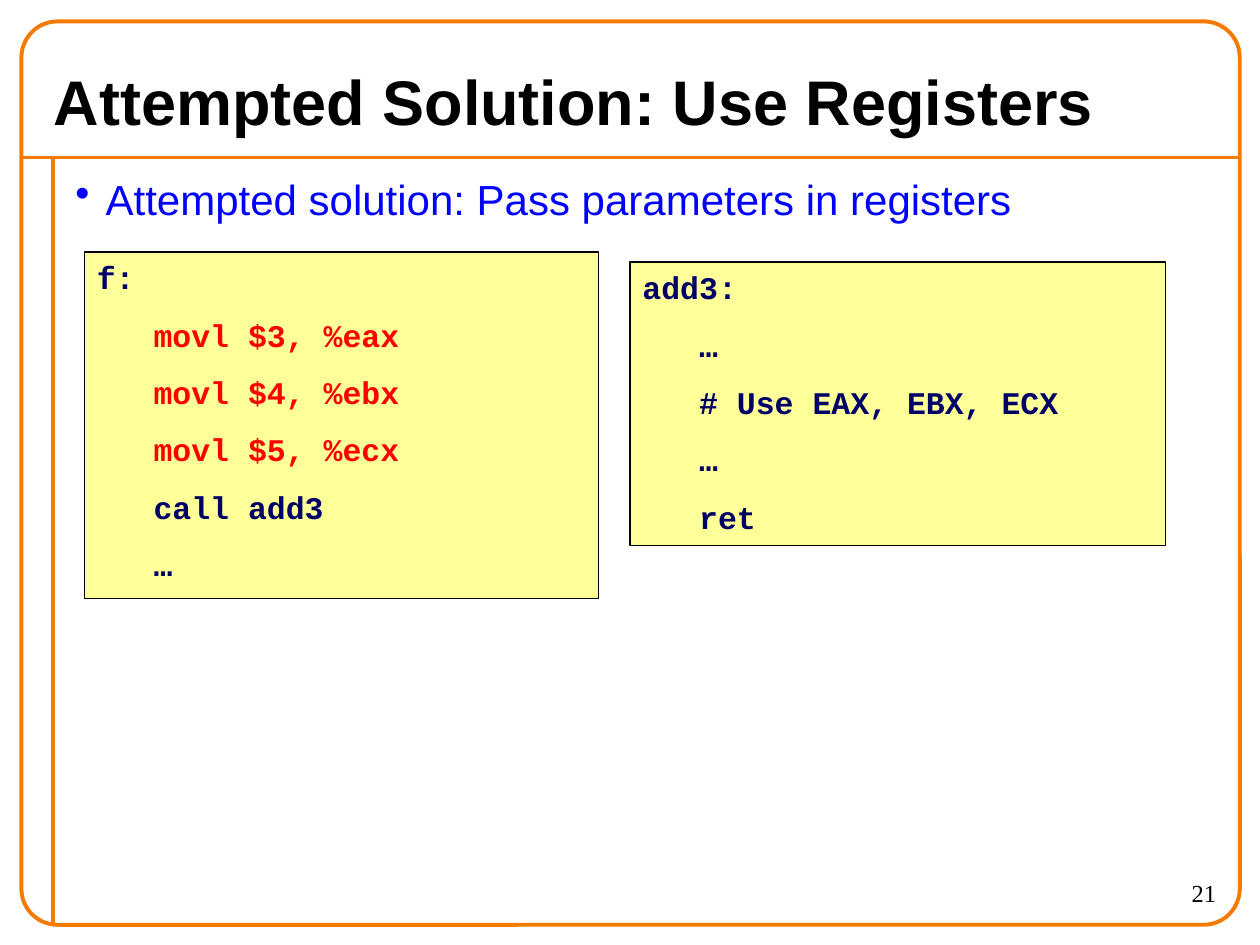
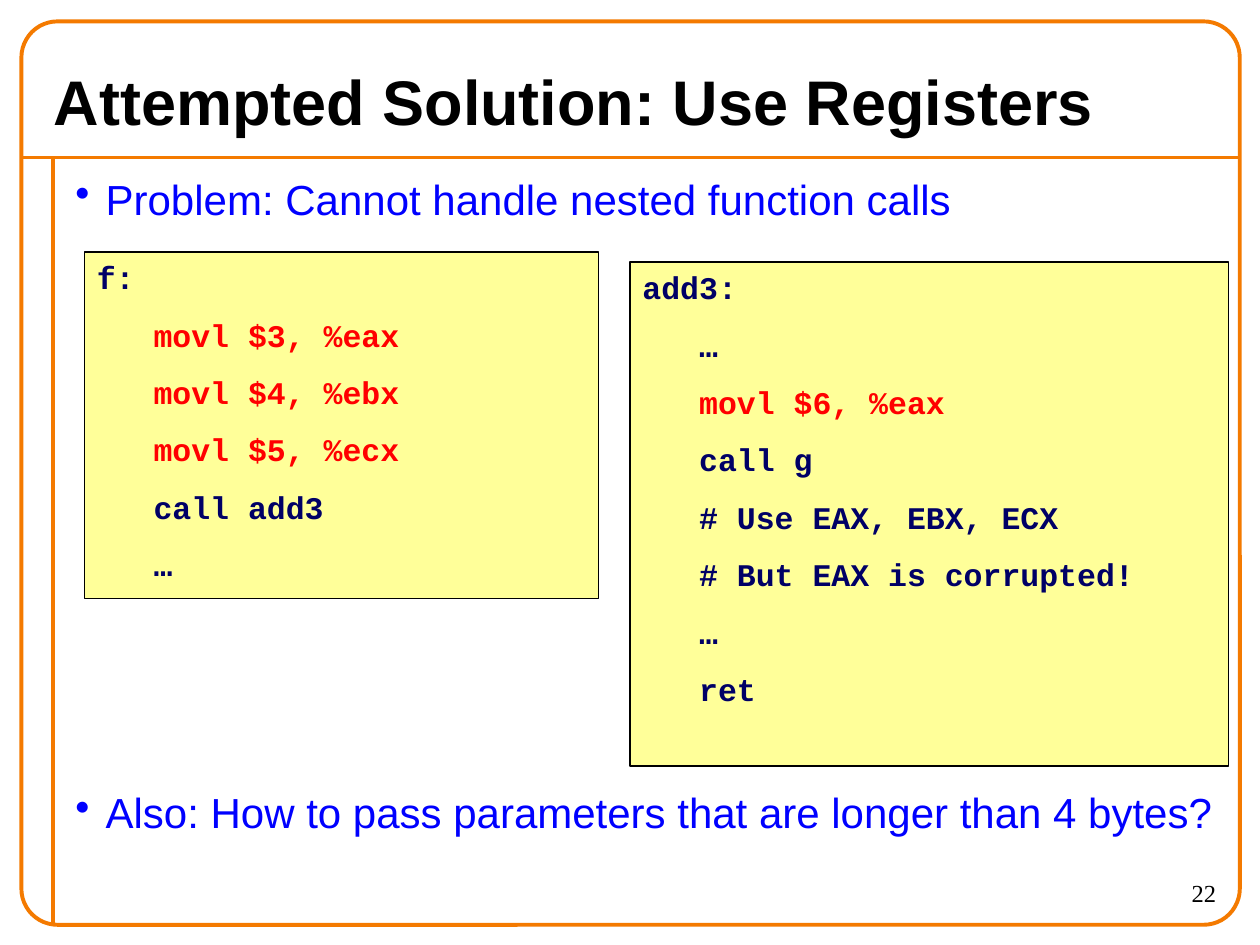
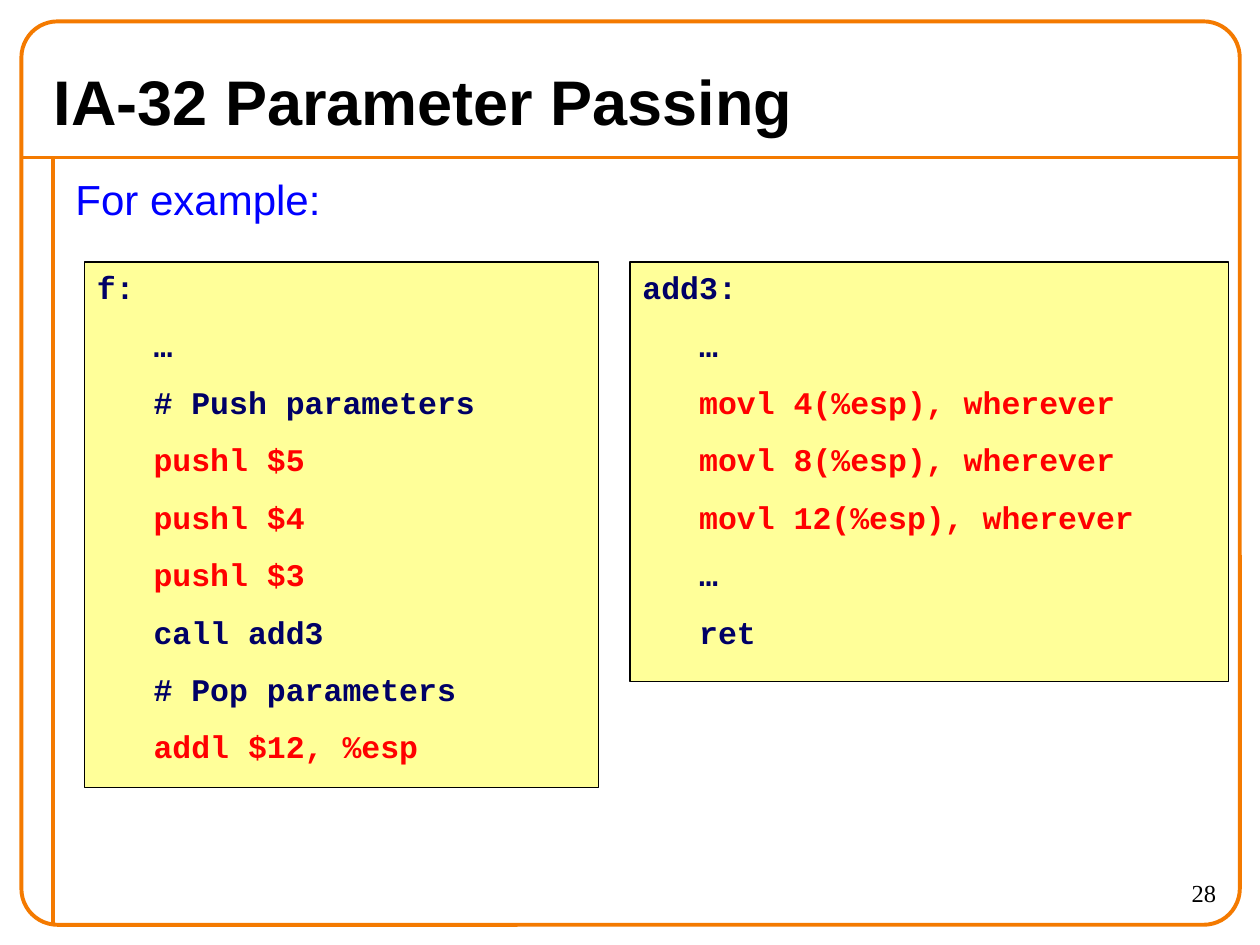
"""Build three slides on passing parameters in IA-32 assembly."""
import lxml.etree
import pptx
import pptx.dml.color
import pptx.enum.shapes
import pptx.enum.text
import pptx.oxml.ns
import pptx.util

Inches = pptx.util.Inches
Pt = pptx.util.Pt
SHAPE = pptx.enum.shapes.MSO_SHAPE
ALIGN = pptx.enum.text.PP_ALIGN
ANCHOR = pptx.enum.text.MSO_ANCHOR

COLORS = {"frame": "F47A00", "black": "000000", "bullet": "0000FF",
          "code": "000066", "moves": "FF0000", "panel": "FFFF99"}
MOVE_WORDS = ("movl", "pushl", "addl")
LINE_FACTOR = 1.2

REGISTER_CALLER = ["f:", "movl $3, %eax", "movl $4, %ebx", "movl $5, %ecx",
                   "call add3", "…"]
SLIDES = [
    {"title": "Attempted Solution: Use Registers", "number": 21, "bulleted": True,
     "points": [("Attempted solution: Pass parameters in registers", 15)],
     "panels": [((0.67, 2, 4.08, 2.75), REGISTER_CALLER),
                ((5, 2.08, 4.25, 2.25),
                 ["add3:", "…", "# Use EAX, EBX, ECX", "…", "ret"])]},
    {"title": "Attempted Solution: Use Registers", "number": 22, "bulleted": True,
     "points": [("Problem: Cannot handle nested function calls", 15),
                ("Also: How to pass parameters that are longer than 4 bytes?", 321.6)],
     "panels": [((0.67, 2, 4.08, 2.75), REGISTER_CALLER),
                ((5, 2.08, 4.75, 4),
                 ["add3:", "…", "movl $6, %eax", "call g", "# Use EAX, EBX, ECX",
                  "# But EAX is corrupted!", "…", "ret"])]},
    {"title": "IA-32 Parameter Passing", "number": 28, "bulleted": False,
     "points": [("For example:", 15)],
     "panels": [((0.67, 2.08, 4.08, 4.17),
                 ["f:", "…", "# Push parameters", "pushl $5", "pushl $4", "pushl $3",
                  "call add3", "# Pop parameters", "addl $12, %esp"]),
                ((5, 2.08, 4.75, 3.33),
                 ["add3:", "…", "movl 4(%esp), wherever", "movl 8(%esp), wherever",
                  "movl 12(%esp), wherever", "…", "ret"])]},
]


def rgb(name):
    return pptx.dml.color.RGBColor.from_string(COLORS[name])


def add_element(parent, tag):
    return lxml.etree.SubElement(parent, pptx.oxml.ns.qn(tag))


def outline(shape, color, width):
    shape.line.color.rgb = rgb(color)
    shape.line.width = Pt(width)


def add_box(page, place, anchor=ANCHOR.TOP):
    box = page.shapes.add_textbox(*map(Inches, place))
    box.text_frame.word_wrap = True
    box.text_frame.vertical_anchor = anchor
    return box


def add_para(frame, index, text, font, size, color, bold=False):
    para = frame.add_paragraph() if index else frame.paragraphs[0]
    para.alignment = ALIGN.LEFT
    span = para.add_run()
    span.text = text
    span.font.name = font
    span.font.size = Pt(size)
    span.font.bold = bold
    span.font.color.rgb = rgb(color)
    return para


def space(para, before, size):
    para.space_before = Pt(before)
    para.line_spacing = Pt(size * LINE_FACTOR)


def indent(para, left, first=0):
    props = para._p.get_or_add_pPr()
    props.set("marL", str(Inches(left)))
    props.set("indent", str(Inches(first)))
    return props


def add_rule(page, start, end):
    rule = page.shapes.add_connector(pptx.enum.shapes.MSO_CONNECTOR.STRAIGHT,
                                     *map(Inches, start + end))
    outline(rule, "frame", 2.25)
    add_element(rule._element.spPr, "a:effectLst")


def add_frame(page):
    add_rule(page, (0.17, 1.25), (9.83, 1.25))
    add_rule(page, (0.42, 1.25), (0.42, 7.33))
    border = page.shapes.add_shape(SHAPE.ROUNDED_RECTANGLE,
                                   *map(Inches, (0.17, 0.17, 9.67, 7.17)))
    border.adjustments[0] = 0.04
    border.shadow.inherit = False
    border.fill.background()
    outline(border, "frame", 2.25)


def add_points(page, points, bulleted):
    frame = add_box(page, (0.5, 1.33, 9.25, 6)).text_frame
    for index, (text, before) in enumerate(points):
        para = add_para(frame, index, text, "Arial", 24, "bullet")
        space(para, before, 24)
        props = indent(para, 0.24, -0.24)
        if bulleted:
            add_element(props, "a:buChar").set("char", "•")


def add_panel(page, place, lines):
    panel = page.shapes.add_shape(SHAPE.RECTANGLE, *map(Inches, place))
    panel.shadow.inherit = False
    panel.fill.solid()
    panel.fill.fore_color.rgb = rgb("panel")
    outline(panel, "black", 0.75)
    frame = panel.text_frame
    frame.word_wrap = True
    frame.vertical_anchor = ANCHOR.TOP
    for index, text in enumerate(lines):
        color = "moves" if text.startswith(MOVE_WORDS) else "code"
        para = add_para(frame, index, text, "Courier New", 18, color, bold=True)
        space(para, 11.2, 18)
        indent(para, 0.45 if index else 0)


def add_page(deck, content):
    page = deck.slides.add_slide(deck.slide_layouts[6])
    add_frame(page)
    number = add_box(page, (8.75, 6.92, 1, 0.42))
    para = add_para(number.text_frame, 0, str(content["number"]),
                    "Times New Roman", 14, "black")
    para.alignment = ALIGN.RIGHT
    title = add_box(page, (0.33, 0.42, 9.33, 0.75), ANCHOR.MIDDLE)
    add_para(title.text_frame, 0, content["title"], "Arial", 36, "black", bold=True)
    add_points(page, content["points"], content["bulleted"])
    for place, lines in content["panels"]:
        add_panel(page, place, lines)


def main():
    deck = pptx.Presentation()
    deck.slide_width = Inches(10)
    deck.slide_height = Inches(7.5)
    for content in SLIDES:
        add_page(deck, content)
    deck.save("out.pptx")


if __name__ == "__main__":
    main()
